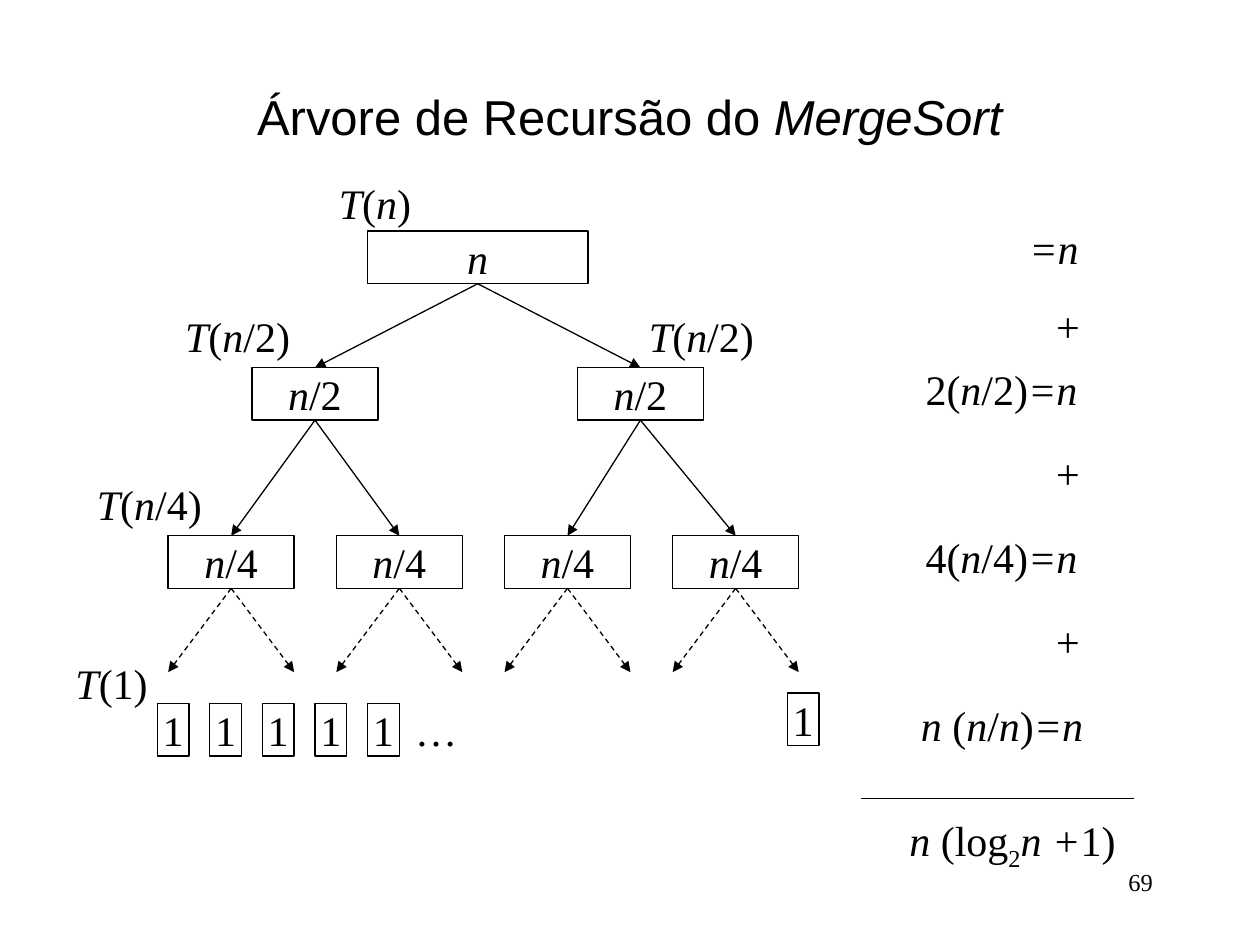
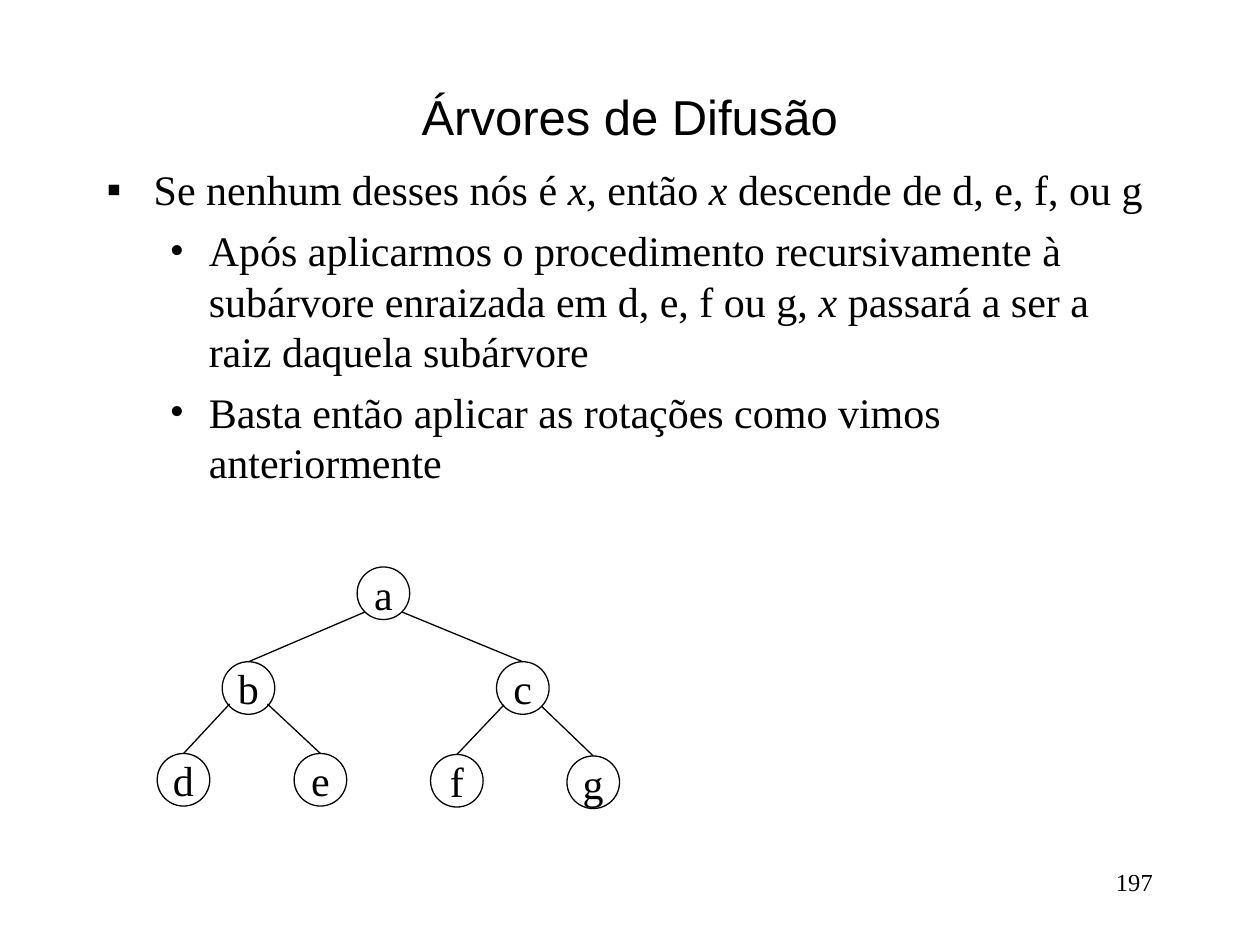
from lxml import etree
from pptx import Presentation
from pptx.dml.color import RGBColor
from pptx.enum.dml import MSO_LINE
from pptx.enum.shapes import MSO_CONNECTOR, MSO_SHAPE
from pptx.enum.text import MSO_ANCHOR, PP_ALIGN
from pptx.oxml.ns import qn
from pptx.util import Cm, Pt

INK = RGBColor(0, 0, 0)
SERIF, SANS = "Times New Roman", "Arial"
LEFT, CENTER, RIGHT = PP_ALIGN.LEFT, PP_ALIGN.CENTER, PP_ALIGN.RIGHT
TOP, MIDDLE = MSO_ANCHOR.TOP, MSO_ANCHOR.MIDDLE
RECT, OVAL = MSO_SHAPE.RECTANGLE, MSO_SHAPE.OVAL
STRAIGHT, DASH = MSO_CONNECTOR.STRAIGHT, MSO_LINE.DASH

# Content: *italic*, _subscript_; all lengths in centimetres
MERGESORT_TITLE, MERGESORT_PAGE = "Árvore de Recursão do *MergeSort*", "69"
NODE_H = 1.06
LEVELS = [  # text, top, node width, node centres
    ("*n*", 4.66, 4.45, [9.63]),
    ("*n*/2", 7.41, 2.54, [6.35, 12.91]),
    ("*n*/4", 10.8, 2.54, [4.66 + 3.39 * i for i in range(4)]),
]
DASH_END, DASH_SPREAD = 13.55, 1.27
LEAVES = ["1"] * 5
LEAF_X, LEAF_STEP, LEAF_TOP, LEAF_W = 3.49, 1.06, 14.18, 0.64
ELLIPSIS_W = 1.5
LAST_LEAF = (16.19, 13.97)
CALLS = [  # text, centre, top, width
    ("*T*(*n*)", 7.56, 3.45, 2),
    ("*T*(*n*/2)", 4.79, 6.14, 2.8),
    ("*T*(*n*/2)", 14.14, 6.14, 2.8),
    ("*T*(*n*/4)", 3.01, 9.53, 2.8),
    ("*T*(1)", 2.25, 13.12, 2),
]
COSTS = [
    ("*=n*", 21.25, 4.36, 1.6),
    ("+", 21.53, 5.93, 1),
    ("2(*n*/2)*=n*", 20.19, 7.2, 3.9),
    ("+", 21.53, 8.89, 1),
    ("4(*n*/4)*=n*", 20.19, 10.58, 3.9),
    ("+", 21.53, 12.28, 1),
    ("*n *(*n*/*n*)*=n*", 20.2, 13.97, 4),
    ("*n *(log_2_*n +*1)", 20.41, 16.3, 5),
]
SUM_RULE = (17.36, 16.09, 22.86, 16.09)

SPLAY_TITLE, SPLAY_PAGE = "Árvores de Difusão", "197"
SPLAY_POINTS = [  # level, text
    (0, "Se nenhum desses nós é *x, *então *x *descende de d, e, f, ou g"),
    (1, "Após aplicarmos o procedimento recursivamente à subárvore enraizada "
        "em d, e, f ou g, *x *passará a ser a raiz daquela subárvore"),
    (1, "Basta então aplicar as rotações como vimos anteriormente"),
]
BULLETS = [("▪", 0.95, 0.95), ("•", 2.06, 0.79)]  # mark, margin, hanging
SPLAY_NODES = {  # centre, top
    "a": (7.73, 11.43), "b": (5.01, 13.34), "c": (10.54, 13.34),
    "d": (3.7, 15.19), "e": (6.46, 15.19), "f": (9.21, 15.21), "g": (11.96, 15.24),
}
SPLAY_CHILDREN = {"a": "bc", "b": "de", "c": "fg"}
EDGE_INSET, EDGE_DROP = 0.38, 1  # edge start: off the parent's centre, above the child


def write(paragraph, text, size=24, font=SERIF, align=CENTER):
    paragraph.alignment = align
    paragraph.font.size, paragraph.font.name = Pt(size), font
    paragraph.font.color.rgb = INK
    for i, stretch in enumerate(text.split("*")):
        for j, piece in enumerate(stretch.split("_")):
            if piece:
                run = paragraph.add_run()
                run.text = piece
                if i % 2:
                    run.font.italic = True
                if j % 2:
                    run.font._element.set("baseline", "-25000")


def add_text(slide, text, left, top, width, height=1.27, anchor=TOP, wrap=True, **style):
    box = slide.shapes.add_textbox(Cm(left), Cm(top), Cm(width), Cm(height))
    frame = box.text_frame
    frame.word_wrap, frame.vertical_anchor = wrap, anchor
    write(frame.paragraphs[0], text, **style)


def add_label(slide, text, center, top, width, height=1.27, anchor=TOP):
    add_text(slide, text, center - width / 2, top, width, height, anchor, wrap=False)


def add_node(slide, text, center, top, width, outline=RECT):
    node = slide.shapes.add_shape(
        outline, Cm(center - width / 2), Cm(top), Cm(width), Cm(NODE_H))
    node.shadow.inherit = False
    node.fill.background()
    node.line.color.rgb, node.line.width = INK, Pt(0.75)
    frame = node.text_frame
    frame.word_wrap, frame.vertical_anchor = False, MIDDLE
    write(frame.paragraphs[0], text)


def add_line(slide, x1, y1, x2, y2, arrow=False, dash=None):
    line = slide.shapes.add_connector(STRAIGHT, Cm(x1), Cm(y1), Cm(x2), Cm(y2))
    line.line.color.rgb, line.line.width = INK, Pt(0.75)
    if dash:
        line.line.dash_style = dash
    props = line._element.spPr
    if arrow:
        etree.SubElement(props.get_or_add_ln(), qn("a:tailEnd"), type="triangle")
    etree.SubElement(props, qn("a:effectLst"))


def start_slide(deck, title, page):
    slide = deck.slides.add_slide(deck.slide_layouts[6])
    add_text(slide, title, 1.9, 1.7, 21.59, anchor=MIDDLE, size=28, font=SANS)
    add_text(slide, page, 18.2, 17.36, 5.29, size=14, align=RIGHT)
    return slide


def add_points(slide):
    box = slide.shapes.add_textbox(Cm(1.9), Cm(3.18), Cm(21.59), Cm(13.76))
    frame = box.text_frame
    frame.word_wrap = True
    for i, (level, text) in enumerate(SPLAY_POINTS):
        paragraph = frame.add_paragraph() if i else frame.paragraphs[0]
        paragraph.level = level
        if i:
            paragraph.space_before = Pt(6)
        mark, margin, hanging = BULLETS[level]
        props = paragraph._p.get_or_add_pPr()
        props.set("marL", str(Cm(margin)))
        props.set("indent", str(-Cm(hanging)))
        etree.SubElement(props, qn("a:buFont"), typeface=SERIF)
        etree.SubElement(props, qn("a:buChar"), char=mark)
        write(paragraph, text, align=LEFT)


def build_mergesort(deck):
    slide = start_slide(deck, MERGESORT_TITLE, MERGESORT_PAGE)
    # Recursion tree
    for depth, (text, top, width, centers) in enumerate(LEVELS):
        for i, center in enumerate(centers):
            add_node(slide, text, center, top, width)
            if depth + 1 < len(LEVELS):
                _, end, _, below = LEVELS[depth + 1]
                targets, dash = below[2 * i:2 * i + 2], None
            else:
                end, dash = DASH_END, DASH
                targets = [center - DASH_SPREAD, center + DASH_SPREAD]
            for target in targets:
                add_line(slide, center, top + NODE_H, target, end, True, dash)
    # Leaves
    for i, leaf in enumerate(LEAVES):
        add_node(slide, leaf, LEAF_X + i * LEAF_STEP, LEAF_TOP, LEAF_W)
    add_label(slide, "…", LEAF_X + len(LEAVES) * LEAF_STEP, LEAF_TOP,
              ELLIPSIS_W, NODE_H, MIDDLE)
    add_node(slide, "1", *LAST_LEAF, LEAF_W)
    # Calls and cost per level
    for label in CALLS + COSTS:
        add_label(slide, *label)
    add_line(slide, *SUM_RULE)


def build_splay(deck):
    slide = start_slide(deck, SPLAY_TITLE, SPLAY_PAGE)
    add_points(slide)
    # Tree
    for name, (center, top) in SPLAY_NODES.items():
        add_node(slide, name, center, top, NODE_H, OVAL)
        for child, side in zip(SPLAY_CHILDREN.get(name, ""), (-1, 1)):
            child_x, child_top = SPLAY_NODES[child]
            add_line(slide, center + side * EDGE_INSET, child_top - EDGE_DROP,
                     child_x, child_top)


def main():
    deck = Presentation()
    deck.slide_width, deck.slide_height = Cm(25.4), Cm(19.05)
    build_mergesort(deck)
    build_splay(deck)
    deck.save("out.pptx")


if __name__ == "__main__":
    main()
